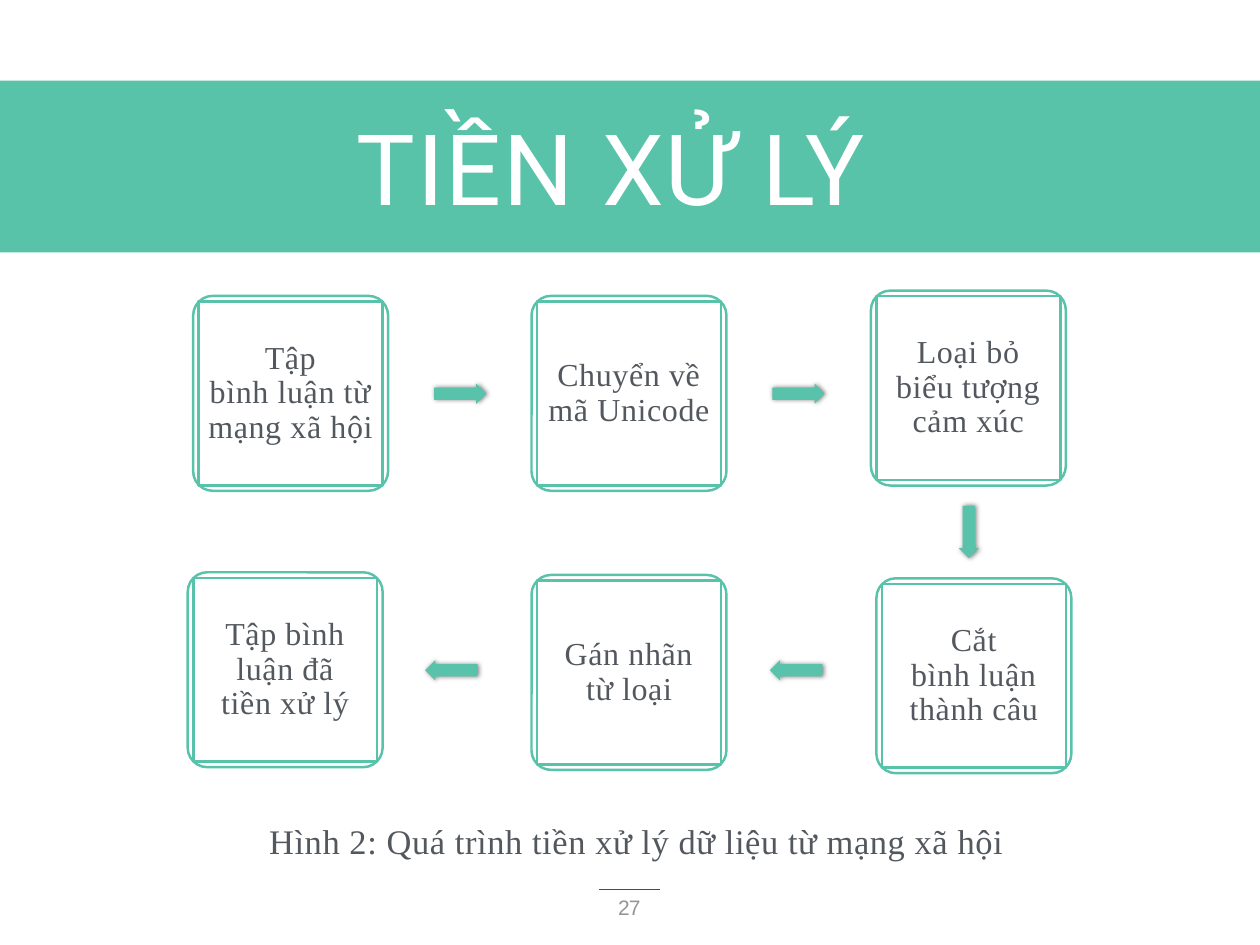
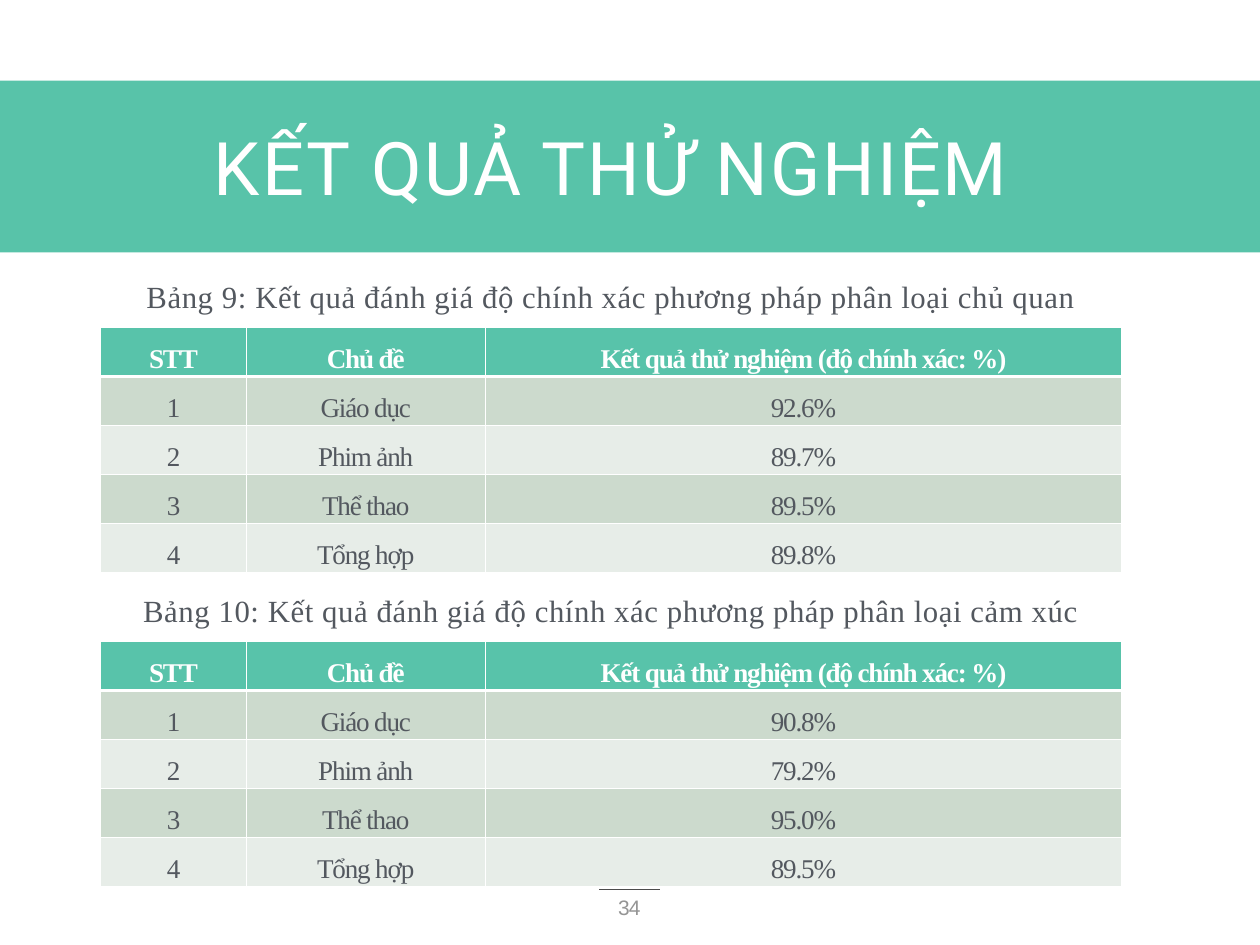
from lxml.etree import SubElement
from pptx import Presentation
from pptx.dml.color import RGBColor
from pptx.enum.shapes import MSO_CONNECTOR, MSO_SHAPE
from pptx.enum.text import MSO_ANCHOR, MSO_AUTO_SIZE, PP_ALIGN
from pptx.oxml.ns import qn
from pptx.util import Pt

GREEN, GREY, WHITE = "58C3AA", "53585F", "FFFFFF"
BANDS = ("E7EDE8", "CCDACD")
SERIF = "Times New Roman"
CARD, CARD_INSET = 158.4, 4.5
ARROW_W, ARROW_H = 42.5, 16.5
TABLE_X, TABLE_W, ROW_H = 82, 829.5, 39.75
COLUMNS = (118, 194.5, 517)

STEPS = [
    (157, 240.5, "Tập\vbình luận từ\vmạng xã hội"),
    (432, 240.5, "Chuyển về\vmã Unicode"),
    (707.8, 236.2, "Loại bỏ\vbiểu tượng\vcảm xúc"),
    (712.3, 470, "Cắt\vbình luận\vthành câu"),
    (432, 467.3, "Gán nhãn\vtừ loại"),
    (152.6, 465.1, "Tập bình\vluận đã\vtiền xử lý"),
]
ARROWS = [(374, 320, 0), (649, 320, 0), (787.3, 432.4, 90), (647, 544.7, 180), (366.8, 544.7, 180)]
HEADER = ("STT", "Chủ đề", "Kết quả thử nghiệm (độ chính xác: %)")
TOPICS = ("Giáo dục", "Phim ảnh", "Thể thao", "Tổng hợp")
RESULTS = [
    ("Bảng 9: Kết quả đánh giá độ chính xác phương pháp phân loại chủ quan",
     ("92.6%", "89.7%", "89.5%", "89.8%")),
    ("Bảng 10: Kết quả đánh giá độ chính xác phương pháp phân loại cảm xúc",
     ("90.8%", "79.2%", "95.0%", "89.5%")),
]


def paint(fill, colour):
    """Give a fill one solid colour."""
    fill.solid()
    fill.fore_color.rgb = RGBColor.from_string(colour)


def box(*lengths):
    """Turn lengths in points into Pt values."""
    return [Pt(v) for v in lengths]


def frame(tf, margin_x=0, margin_y=0):
    """Set wrapping, anchor and margins of a text frame."""
    values = {
        "word_wrap": True, "auto_size": MSO_AUTO_SIZE.NONE,
        "vertical_anchor": MSO_ANCHOR.MIDDLE,
        "margin_left": Pt(margin_x), "margin_right": Pt(margin_x),
        "margin_top": Pt(margin_y), "margin_bottom": Pt(margin_y),
    }
    for name, value in values.items():
        setattr(tf, name, value)


def write(tf, text, size, colour=GREY, font=SERIF, spacing=0.5, line=None, bold=False):
    """Write one centred paragraph."""
    p = tf.paragraphs[0]
    p.text = text
    p.alignment = PP_ALIGN.CENTER
    p.line_spacing = line
    for r in p.runs:
        for name, value in {"name": font, "size": Pt(size), "bold": bold}.items():
            setattr(r.font, name, value)
        paint(r.font.fill, colour)
        r._r.get_or_add_rPr().set("spc", str(round(spacing * 100)))


def add_text(s, bounds, text, size, margin, **style):
    """Add a wrapped text box."""
    tf = s.shapes.add_textbox(*box(*bounds)).text_frame
    frame(tf, margin, margin)
    write(tf, text, size, **style)


def add_block(shapes, kind, bounds, fill, line=None):
    """Add a flat preset shape with an optional outline."""
    shape = shapes.add_shape(kind, *box(*bounds))
    shape.shadow.inherit = False
    paint(shape.fill, fill)
    if line:
        paint(shape.line.fill, line)
        shape.line.width = Pt(2)
    else:
        shape.line.fill.background()
    return shape


def add_card(s, x, y, text):
    """Add a rounded frame around a square step box."""
    shapes = s.shapes.add_group_shape().shapes
    outer = add_block(shapes, MSO_SHAPE.ROUNDED_RECTANGLE, (x, y, CARD, CARD), WHITE, GREEN)
    outer.adjustments[0] = 0.1
    side = CARD - 2 * CARD_INSET
    inner = add_block(shapes, MSO_SHAPE.RECTANGLE,
                      (x + CARD_INSET, y + CARD_INSET, side, side), WHITE, GREEN)
    frame(inner.text_frame, 5, 5)
    write(inner.text_frame, text, 26, line=0.9)


def add_arrow(s, cx, cy, angle):
    """Add a block arrow with a soft shadow around a centre point."""
    arrow = add_block(s.shapes, MSO_SHAPE.RIGHT_ARROW,
                      (cx - ARROW_W / 2, cy - ARROW_H / 2, ARROW_W, ARROW_H), GREEN)
    arrow.adjustments[0] = 0.6
    arrow.rotation = angle
    effects = arrow.element.spPr.find(qn("a:effectLst"))
    shadow = SubElement(effects, qn("a:outerShdw"), blurRad=str(Pt(4)), dist=str(Pt(1)),
                        dir="0", rotWithShape="0")
    black = SubElement(shadow, qn("a:srgbClr"), val="000000")
    SubElement(black, qn("a:alpha"), val="50000")


def add_border(cell, side, width):
    """Draw one white cell border."""
    ln = SubElement(cell._tc.get_or_add_tcPr(), qn(f"a:ln{side}"), w=str(Pt(width)))
    SubElement(SubElement(ln, qn("a:solidFill")), qn("a:srgbClr"), val=WHITE)


def add_results(s, y, values):
    """Add a banded table of topics and scores."""
    rows = [HEADER] + [(str(i), *row) for i, row in enumerate(zip(TOPICS, values), 1)]
    table = s.shapes.add_table(len(rows), len(COLUMNS),
                               *box(TABLE_X, y, TABLE_W, ROW_H * len(rows))).table
    for column, width in zip(table.columns, COLUMNS):
        column.width = Pt(width)
    for i, row in enumerate(rows):
        table.rows[i].height = Pt(ROW_H)
        for j, text in enumerate(row):
            cell = table.cell(i, j)
            cell.margin_left = cell.margin_right = Pt(5)
            cell.margin_top = cell.margin_bottom = 0
            cell.vertical_anchor = MSO_ANCHOR.MIDDLE
            for side, width in {"L": 1, "R": 1, "T": 3 if i == 1 else 1,
                                "B": 3 if i == 0 else 1}.items():
                add_border(cell, side, width)
            paint(cell.fill, BANDS[i % 2] if i else GREEN)
            write(cell.text_frame, text, 22, GREY if i else WHITE,
                  spacing=-0.9, line=1.5, bold=i == 0)


def style_layout(layout, s):
    """Move the band and footer rule to the layout and set its title area."""
    band = add_block(s.shapes, MSO_SHAPE.RECTANGLE, (0, 65.5, 1024, 139.7), "58C3A9")
    rule = s.shapes.add_connector(MSO_CONNECTOR.STRAIGHT, *box(487, 723, 536.5, 723))
    paint(rule.line.fill, "4C4C4C")
    rule.line.width = Pt(0.5)
    SubElement(rule.element.spPr, qn("a:effectLst"))
    for index, shape in enumerate((band, rule), 2):
        layout.shapes.element.insert(index, shape.element)
    title = layout.placeholders[0]
    title.left, title.top, title.width, title.height = box(82, 80, 829.5, 110)
    frame(title.text_frame)


def add_heading(s, text, size, number):
    """Fill the title and add the page number."""
    write(s.shapes.title.text_frame, text, size, WHITE, "Roboto", 1.6)
    add_text(s, (491, 723.5, 41, 30), number, 17, 3.6, colour="959595", font="Arial",
             spacing=-0.9, line=0.9)


def main():
    """Build both slides and save them."""
    prs = Presentation()
    prs.slide_width, prs.slide_height = box(1024, 768)
    layout = prs.slide_layouts[5]

    s = prs.slides.add_slide(layout)
    style_layout(layout, s)
    add_heading(s, "TIỀN XỬ LÝ", 80, "27")
    for step in STEPS:
        add_card(s, *step)
    for arrow in ARROWS:
        add_arrow(s, *arrow)
    add_text(s, (48, 659, 939, 45), "Hình 2: Quá trình tiền xử lý dữ liệu từ mạng xã hội",
             28, 4.5, line=1.1)

    s = prs.slides.add_slide(layout)
    add_heading(s, "KẾT QUẢ THỬ NGHIỆM", 60, "34")
    for i, (caption, values) in enumerate(RESULTS):
        top = 219 + 255 * i
        add_text(s, (TABLE_X, top, TABLE_W, 41), caption, 25, 4.5, line=1.1)
        add_results(s, top + 47.4, values)

    prs.save("out.pptx")


if __name__ == "__main__":
    main()
